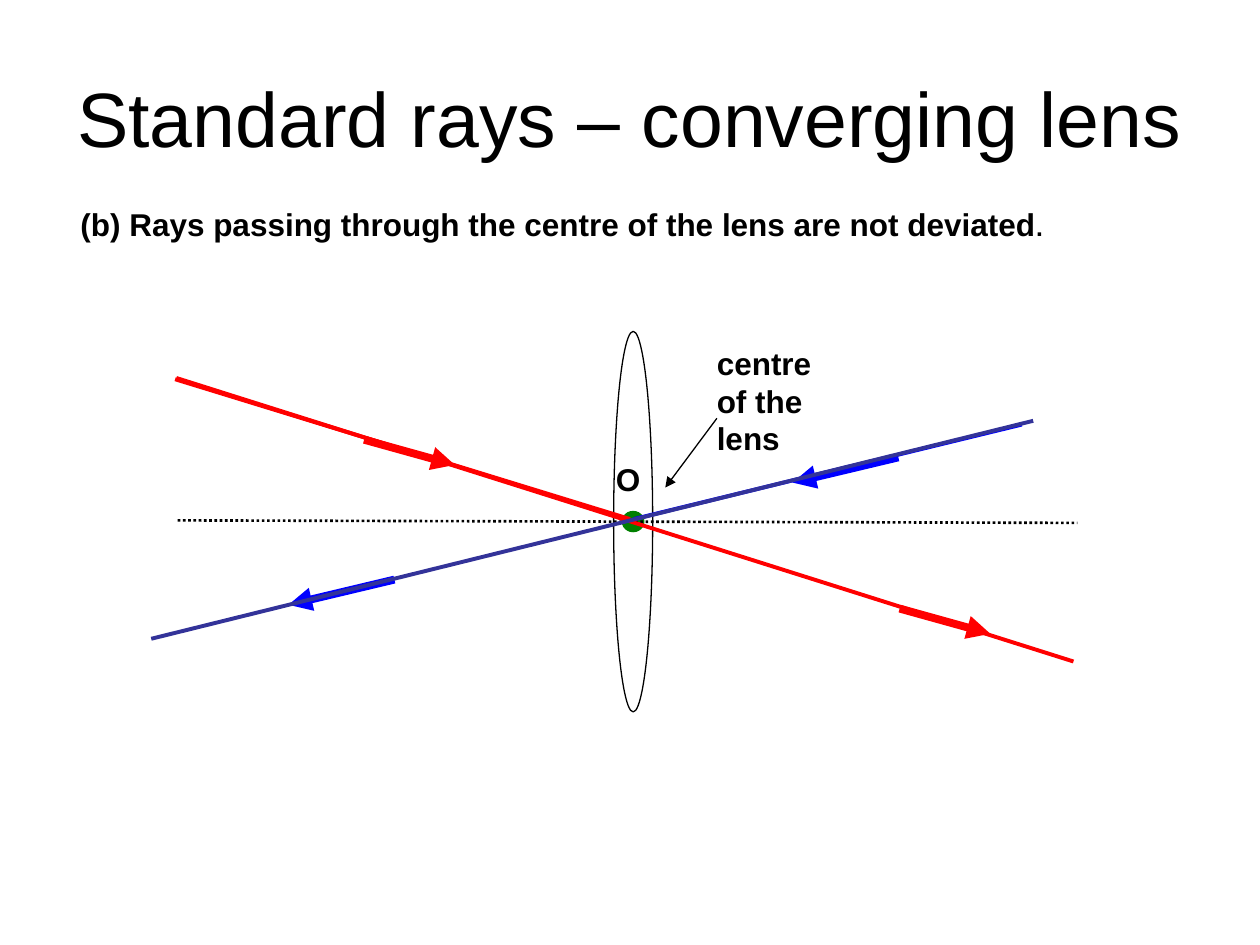
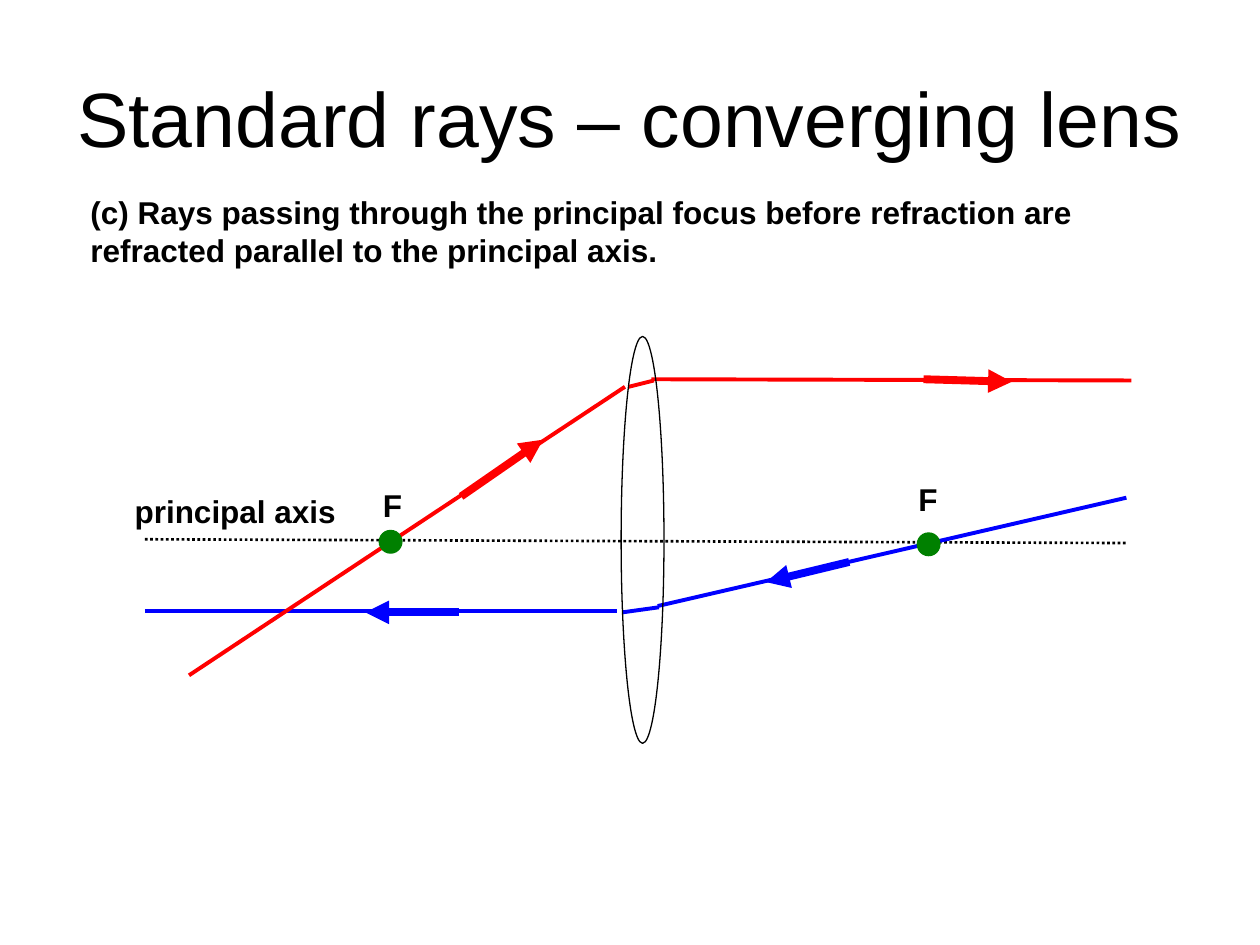
"""Build two slides on the standard rays through a converging lens."""
from lxml.etree import SubElement
from pptx import Presentation
from pptx.dml.color import RGBColor
from pptx.enum.dml import MSO_LINE
from pptx.enum.shapes import MSO_CONNECTOR, MSO_SHAPE
from pptx.enum.text import MSO_ANCHOR, PP_ALIGN
from pptx.oxml.ns import qn
from pptx.util import Inches, Pt

BLACK = RGBColor(0x00, 0x00, 0x00)
RED = RGBColor(0xFF, 0x00, 0x00)
BLUE = RGBColor(0x00, 0x00, 0xFF)
INDIGO = RGBColor(0x33, 0x33, 0x99)
GREEN = RGBColor(0x00, 0x80, 0x00)
FONT = "Arial"
TITLE = "Standard rays – converging lens"
TITLE_BOX = (5, 3, 90, 12.5)
THIN, AXIS, RAY, ARROW = 0.75, 1.5, 2.25, 4.5

presentation = Presentation()
presentation.slide_width = Inches(10)
presentation.slide_height = Inches(7.5)
COLUMN = presentation.slide_width / 100
ROW = presentation.slide_height / 75


def write_text(frame, text, size=18, bold=True, align=PP_ALIGN.LEFT, anchor=MSO_ANCHOR.TOP):
    frame.word_wrap = True
    frame.vertical_anchor = anchor
    frame.text = text
    for paragraph in frame.paragraphs:
        paragraph.alignment = align
        for run in paragraph.runs:
            run.font.name = FONT
            run.font.size = Pt(size)
            run.font.bold = bold
            run.font.color.rgb = BLACK


def grid(left, top, width, height):
    return [round(value * unit) for value, unit in
            zip((left, top, width, height), (COLUMN, ROW, COLUMN, ROW))]


centre_slide = dict(
    caption="(b) Rays passing through the centre of the lens are not deviated",
    caption_end=".",
    caption_box=(5.4, 15.8, 86.7, 4),
    lines_below=[],
    ellipses=[
        (49.4, 40.6, 1.7, 1.6, GREEN),
        (48.7, 26.3, 3.1, 30.2, None),
    ],
    lines_above=[
        (56.9, 33.2, 52.8, 38.7, BLACK, THIN),
        (14.1, 41.3, 85.5, 41.5, BLACK, AXIS),
        (50.3, 41.2, 81.1, 33.7, BLUE, RAY),
        (13.9, 30.1, 50, 41.2, RED, RAY),
        (28.9, 34.9, 36.1, 36.9, RED, ARROW),
        (71.3, 36.3, 62.9, 38.3, BLUE, ARROW),
        (31.3, 46, 22.9, 48, BLUE, ARROW),
        (71.4, 48.3, 78.6, 50.3, RED, ARROW),
        (14, 30, 85.2, 52.5, RED, RAY),
        (82, 33.4, 12, 50.7, INDIGO, RAY),
    ],
    labels=[
        ("centre\nof the lens", 55.9, 26.8, 14.2, 10.8),
        ("O", 47.9, 36, 5.6, 5.4),
    ],
)
focus_slide = dict(
    caption="(c) Rays passing through the principal focus before refraction are "
            "refracted parallel to the principal axis.",
    caption_end="",
    caption_box=(6.2, 14.8, 87, 7),
    lines_below=[
        (89.8, 30.2, 51.7, 30.1, RED, RAY),
        (73.3, 30.1, 80.3, 30.3, RED, ARROW),
        (11.5, 48.5, 49, 48.5, BLUE, RAY),
        (36.4, 48.6, 29, 48.6, BLUE, ARROW),
        (49.9, 30.7, 51.9, 30.2, RED, RAY),
        (49.4, 48.6, 52.3, 48.2, BLUE, RAY),
        (36.6, 39.4, 43.1, 34.9, RED, ARROW),
        (11.5, 42.8, 89.5, 43.1, BLACK, AXIS),
        (15, 53.6, 49.6, 30.7, RED, RAY),
        (89.4, 39.5, 52.2, 48.1, BLUE, RAY),
        (67.4, 44.6, 60.8, 46.2, BLUE, ARROW),
    ],
    ellipses=[
        (49.3, 26.7, 3.4, 32.3, None),
        (72.8, 42.3, 1.8, 1.8, GREEN),
        (30.1, 42.1, 1.8, 1.8, GREEN),
    ],
    lines_above=[],
    labels=[
        ("F", 71.9, 37.6, 5.6, 5.3),
        ("principal axis", 9.7, 38.6, 19.7, 4.7),
        ("F", 29.4, 38.1, 5.6, 5.3),
    ],
)

for content in (centre_slide, focus_slide):
    slide = presentation.slides.add_slide(presentation.slide_layouts[5])
    title = slide.shapes.title
    title.left, title.top, title.width, title.height = grid(*TITLE_BOX)
    write_text(title.text_frame, TITLE, size=44, bold=False,
               align=PP_ALIGN.CENTER, anchor=MSO_ANCHOR.MIDDLE)

    caption = slide.shapes.add_textbox(*grid(*content["caption_box"]))
    write_text(caption.text_frame, content["caption"], anchor=MSO_ANCHOR.MIDDLE)
    if content["caption_end"]:
        run = caption.text_frame.paragraphs[0].add_run()
        run.text = content["caption_end"]
        run.font.name = FONT
        run.font.size = Pt(14)
        run.font.bold = True
        run.font.color.rgb = BLACK

    for layer in ("lines_below", "ellipses", "lines_above"):
        for *box, colour in content[layer] if layer == "ellipses" else []:
            ellipse = slide.shapes.add_shape(MSO_SHAPE.OVAL, *grid(*box))
            ellipse.shadow.inherit = False
            ellipse.line.color.rgb = colour or BLACK
            ellipse.line.width = Pt(THIN)
            if colour:
                ellipse.fill.solid()
                ellipse.fill.fore_color.rgb = colour
            else:
                ellipse.fill.background()

        for *ends, colour, width in content[layer] if layer != "ellipses" else []:
            connector = slide.shapes.add_connector(MSO_CONNECTOR.STRAIGHT, *grid(*ends))
            connector.line.color.rgb = colour
            connector.line.width = Pt(width)
            if width == AXIS:
                connector.line.dash_style = MSO_LINE.ROUND_DOT
            if width in (THIN, ARROW):
                SubElement(connector.line._get_or_add_ln(), qn("a:tailEnd"), type="triangle")
            SubElement(connector._element.spPr, qn("a:effectLst"))

    for text, *box in content["labels"]:
        label = slide.shapes.add_textbox(*grid(*box))
        write_text(label.text_frame, text)

presentation.save("out.pptx")
